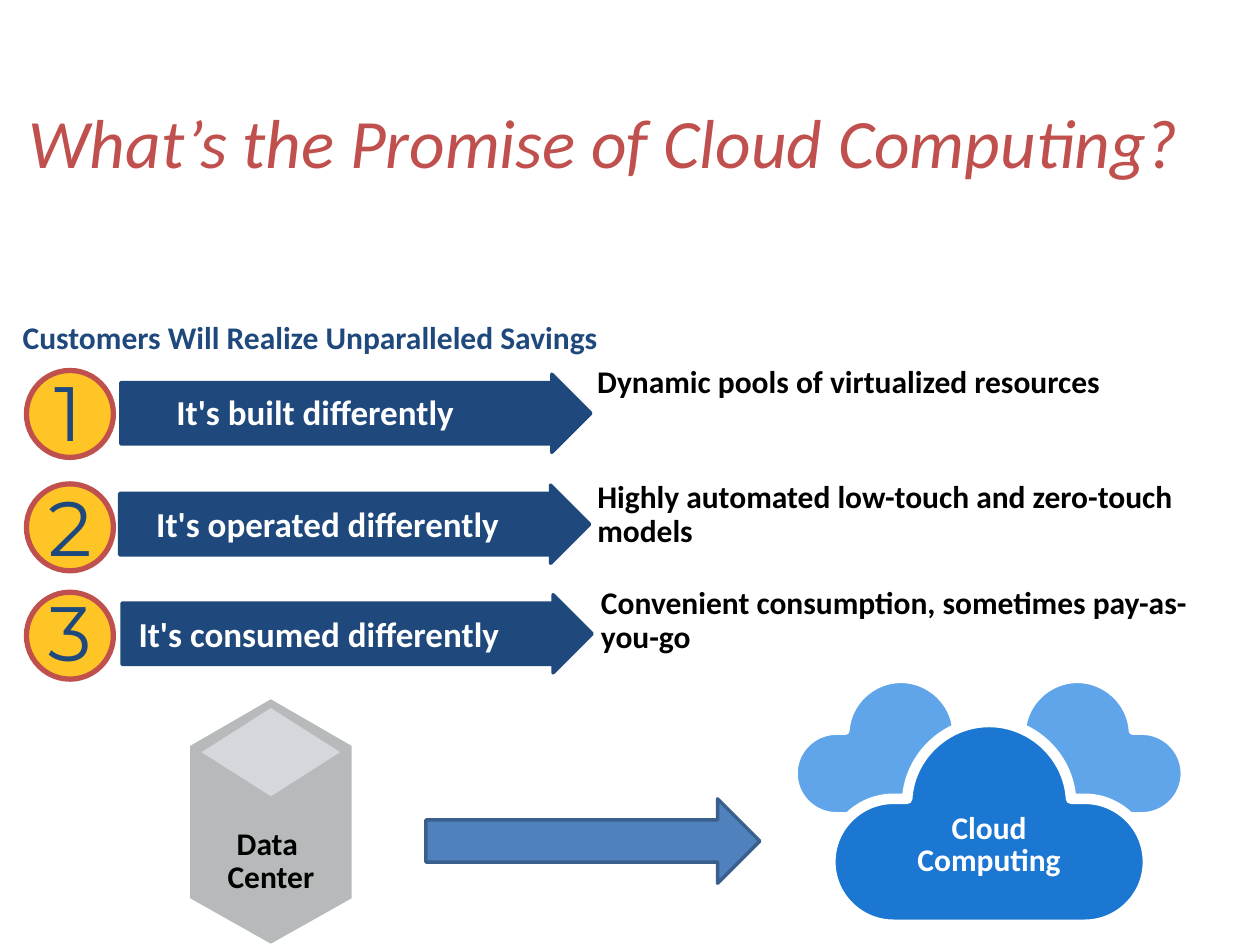
"""Build the slide on the promise of cloud computing."""
import lxml.etree
import pptx
import pptx.dml.color
import pptx.enum.shapes
import pptx.enum.text
import pptx.oxml.ns
import pptx.util

Inches = pptx.util.Inches
SHAPE = pptx.enum.shapes.MSO_SHAPE
ALIGN = pptx.enum.text.PP_ALIGN
AUTO = pptx.enum.text.MSO_AUTO_SIZE
qn = pptx.oxml.ns.qn

TITLE = "What’s the Promise of Cloud Computing?"
SUBTITLE = "Customers Will Realize Unparalleled Savings"
NAVY, RED, WHITE, BLACK = "1F497D", "C0504D", "FFFFFF", "000000"
PROMISES = [
    {"number": "1", "circle_top": 2.94, "digit_at": (0.34, 2.98), "arrow_at": (0.96, 2.97),
     "claim": ("It's built differently", (1.4, 3.14, 2.47, 0.3)), "spacing": 0.9,
     "benefit": ("Dynamic pools of virtualized resources", (4.74, 2.91, 5.26, 0.73))},
    {"number": "2", "circle_top": 3.84, "digit_at": (0.35, 3.89), "arrow_at": (0.95, 3.85),
     "claim": ("It's operated differently", (1.24, 4.03, 3.06, 0.3)), "spacing": 0.9,
     "benefit": ("Highly automated low-touch and zero-touch models", (4.74, 3.82, 4.61, 0.73))},
    {"number": "3", "circle_top": 4.7, "digit_at": (0.35, 4.72), "arrow_at": (0.97, 4.72),
     "claim": ("It's consumed differently", (1.1, 4.86, 3.27, 0.33)), "spacing": 1.0,
     "benefit": ("Convenient consumption, sometimes pay-as-you-go", (4.77, 4.66, 4.86, 0.73))},
]
CLOUDS = [((7.7, 5.39), 0.675, "60A5EA", 4.5),
          ((6.3, 5.39), 0.675, "60A5EA", 4.5),
          ((6.59, 5.73), 1, "1C77D2", 6)]
CLOUD_START = (0.5, 1.61)
CLOUD_CURVES = [
    ((0.23, 1.61), (0, 1.39), (0, 1.11)),
    ((0, 0.83), (0.23, 0.61), (0.5, 0.61)),
    ((0.54, 0.61), (0.58, 0.61), (0.61, 0.61)),
    ((0.63, 0.27), (0.92, 0), (1.26, 0)),
    ((1.6, 0), (1.89, 0.27), (1.91, 0.61)),
    ((1.94, 0.61), (1.98, 0.61), (2.02, 0.61)),
    ((2.29, 0.61), (2.52, 0.83), (2.52, 1.11)),
    ((2.52, 1.39), (2.29, 1.61), (2.02, 1.61)),
]
DATA_CENTER = [
    ("B6BABB", [(2.15, 5.55), (1.51, 5.92), (1.51, 7.13),
                (2.15, 7.49), (2.79, 7.13), (2.79, 5.92)]),
    ("D4D7DC", [(2.7, 5.97), (2.15, 6.32), (1.6, 5.97), (2.15, 5.62)]),
]


def rgb(color):
    return pptx.dml.color.RGBColor.from_string(color)


def apply(target, values):
    for name, value in values.items():
        setattr(target, name, value)


def paint(shape, fill, line=None, width=0):
    shape.shadow.inherit = False
    shape.fill.solid()
    shape.fill.fore_color.rgb = rgb(fill)
    if line:
        shape.line.color.rgb = rgb(line)
        shape.line.width = pptx.util.Pt(width)
    else:
        shape.line.fill.background()
    return shape


def preset(shapes, kind, box, fill, line, width):
    return paint(shapes.add_shape(kind, *map(Inches, box)), fill, line, width)


def write(frame, text, color, size=18, font="Calibri", bold=True, italic=False,
          align=ALIGN.LEFT, spacing=0.9):
    paragraph = frame.paragraphs[0]
    apply(paragraph, {"alignment": align, "line_spacing": spacing})
    for index, words in enumerate(text.split("\n")):
        if index:
            paragraph.add_line_break()
        run = paragraph.add_run()
        run.text = words
        apply(run.font, {"name": font, "size": pptx.util.Pt(size),
                         "bold": bold, "italic": italic})
        run.font.color.rgb = rgb(color)


def label(shapes, text, box, color, wrap=True, insets=(0, 0), **style):
    frame = shapes.add_textbox(*map(Inches, box)).text_frame
    side, end = map(Inches, insets)
    apply(frame, {"margin_left": side, "margin_right": side, "margin_top": end,
                  "margin_bottom": end, "word_wrap": wrap,
                  "auto_size": AUTO.SHAPE_TO_FIT_TEXT})
    write(frame, text, color, **style)


def outline(shapes, points):
    start, *rest = [tuple(map(Inches, point)) for point in points]
    builder = shapes.build_freeform(*start)
    builder.add_line_segments(rest, close=True)
    return builder.convert_to_shape()


def cloud(shapes, corner, scale, fill, width):
    """Draw a closed cloud of cubic curves."""
    anchors = [CLOUD_START] + [curve[-1] for curve in CLOUD_CURVES]
    left, top = corner
    shape = outline(shapes, [(left + x * scale, top + y * scale) for x, y in anchors])
    segments = list(shape.element.iter(qn("a:lnTo")))
    for segment, curve in zip(segments, CLOUD_CURVES):
        segment.tag = qn("a:cubicBezTo")
        for index, (x, y) in enumerate(curve[:2]):
            control = lxml.etree.Element(qn("a:pt"))
            control.set("x", str(Inches(x * scale)))
            control.set("y", str(Inches(y * scale)))
            segment.insert(index, control)
    paint(shape, fill, WHITE, width)


def main():
    deck = pptx.Presentation()
    apply(deck, {"slide_width": Inches(10), "slide_height": Inches(7.5)})
    slide = deck.slides.add_slide(deck.slide_layouts[5])
    shapes = slide.shapes

    title = shapes.title
    apply(title, {"left": Inches(0.01), "top": Inches(0.36),
                  "width": Inches(9.56), "height": Inches(1.51)})
    apply(title.text_frame, {"vertical_anchor": pptx.enum.text.MSO_ANCHOR.MIDDLE,
                             "auto_size": AUTO.NONE, "word_wrap": True})
    write(title.text_frame, TITLE, RED, size=39.6, bold=False, italic=True,
          align=ALIGN.CENTER, spacing=1.0)
    label(shapes, SUBTITLE, (0.18, 2.56, 8.19, 0.36), NAVY)

    for promise in PROMISES:
        arrow = preset(shapes, SHAPE.RIGHT_ARROW, (*promise["arrow_at"], 3.73, 0.62),
                       NAVY, NAVY, 2)
        arrow.adjustments[0] = 0.786
        preset(shapes, SHAPE.OVAL, (0.21, promise["circle_top"], 0.69, 0.69),
               "FFC425", RED, 3)
        label(shapes, promise["number"], (*promise["digit_at"], 0.41, 0.66), NAVY,
              wrap=False, size=44, font="Montserrat", bold=False, align=ALIGN.CENTER)
        label(shapes, *promise["claim"], WHITE, wrap=False, size=20,
              spacing=promise["spacing"])
        label(shapes, *promise["benefit"], BLACK)

    for corner, scale, fill, width in CLOUDS:
        cloud(shapes, corner, scale, fill, width)
    label(shapes, "Cloud\nComputing", (7.19, 6.46, 1.32, 0.51), WHITE, wrap=False,
          align=ALIGN.CENTER, spacing=0.85)

    data_center = shapes.add_group_shape().shapes
    for fill, points in DATA_CENTER:
        paint(outline(data_center, points), fill)
    label(data_center, "Data \nCenter", (1.51, 6.54, 1.28, 0.61), BLACK,
          insets=(0.1, 0.05), align=ALIGN.CENTER, spacing=0.85)
    preset(shapes, SHAPE.RIGHT_ARROW, (3.38, 6.34, 2.65, 0.67), "4F81BD", "3A5F8C", 2)

    deck.save("out.pptx")


if __name__ == "__main__":
    main()
